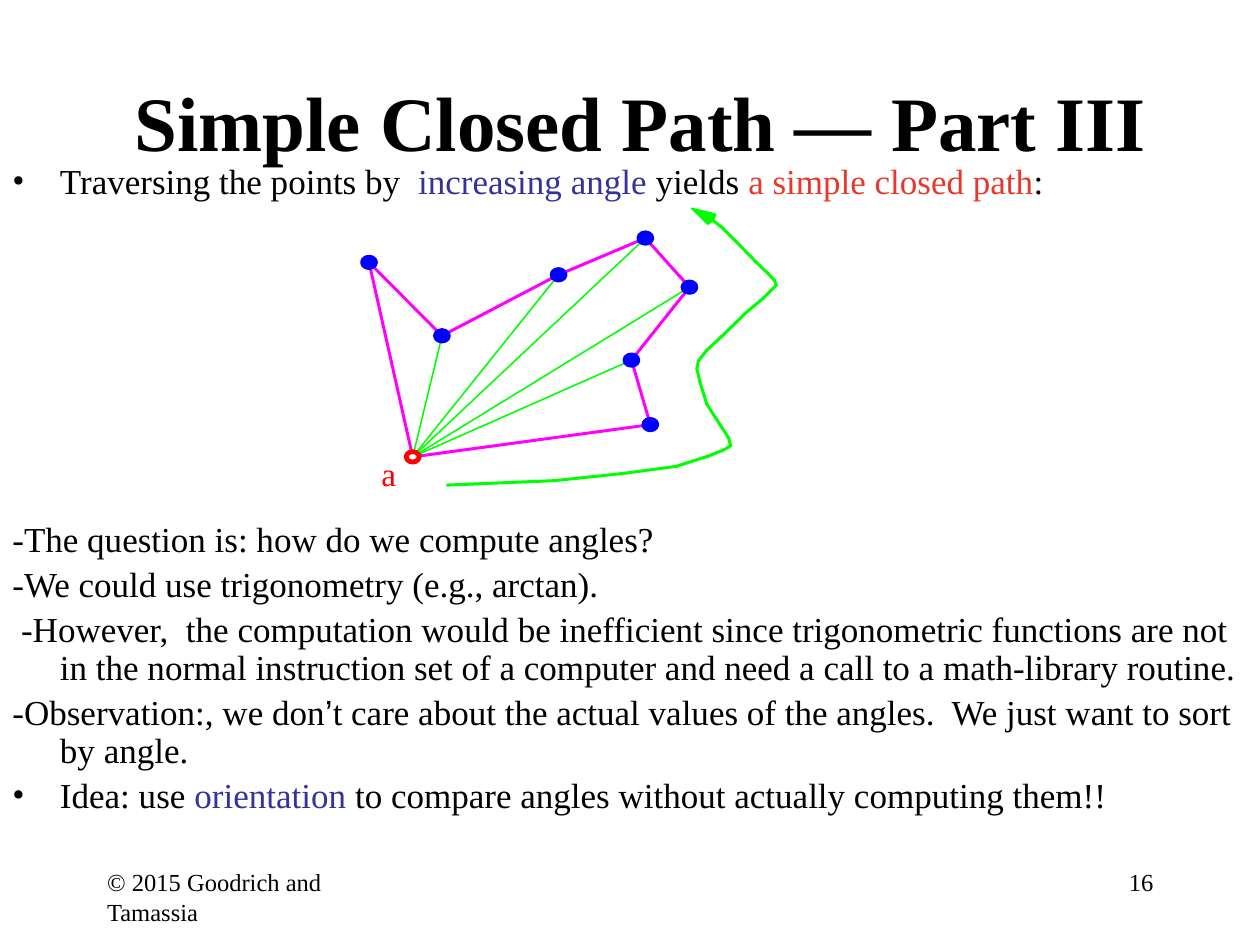
import itertools
import math

import pptx
import pptx.dml.color
import pptx.enum.shapes
import pptx.enum.text
import pptx.oxml.ns
import pptx.util
from lxml import etree
from pptx.util import Cm, Pt

COLORS = {
    "text": "000000", "term": "333399", "claim": "E8382C", "path": "FF00FF",
    "sweep": "00FF00", "point": "0000FF", "anchor": "FF0000", "white": "FFFFFF",
}
FONT = "Times New Roman"
ALIGN = pptx.enum.text.PP_ALIGN
ANCHOR = pptx.enum.text.MSO_ANCHOR

# Diagram coordinates in cm, relative to the diagram box
START = (1.02, 5.01)
POINTS = [(5.81, 4.36), (5.43, 3.06), (6.6, 1.59), (5.71, 0.6),
          (3.96, 1.34), (1.61, 2.57), (0.14, 1.09)]
SWEEP = [(1.72, 5.58), (3.88, 5.49), (5.22, 5.35), (6.34, 5.2), (6.99, 4.99),
         (7.29, 4.87), (7.43, 4.79), (7.39, 4.63), (7.24, 4.4), (6.95, 3.95),
         (6.81, 3.5), (6.75, 3.24), (6.78, 3.08), (6.95, 2.86), (7.24, 2.59),
         (7.72, 2.12), (8.08, 1.82), (8.35, 1.55), (8.31, 1.45), (8.18, 1.31),
         (7.93, 1.07), (7.53, 0.66), (7.27, 0.4), (7.08, 0.25)]
SWEEP_HEAD = [(7.08, 0.25), (6.97, 0.32), (6.64, 0), (7.13, 0.12)]

# Each paragraph: bulleted or not, space before in points, runs
BODY = [
    (True, 4.2, [("Traversing the points by  ",), ("increasing angle", "term"),
                 (" yields ",), ("a simple closed path", "claim"), (":",)]),
    (False, 183, [("-The question is: how do we compute angles?",)]),
    (False, 4.2, [("-We could use trigonometry (e.g., arctan).",)]),
    (False, 4.2, [(" -However,  the computation would be inefficient since "
                   "trigonometric functions are not in the normal instruction set "
                   "of a computer and need a call to a math-library routine.",)]),
    (False, 4.2, [("-Observation:, we don",), ("’", "text", "Arial"),
                  ("t care about the actual values of the angles.  "
                   "We just want to sort by angle.",)]),
    (True, 4.2, [("Idea: use ",), ("orientation", "term"),
                 (" to compare angles without actually computing them!!",)]),
]


def rgb(name):
    return pptx.dml.color.RGBColor.from_string(COLORS[name])


def write_text(paragraph, text, size=20, color="text", font=FONT, bold=False,
               align=ALIGN.LEFT):
    paragraph.alignment = align
    run = paragraph.add_run()
    run.text = text
    run.font.size = Pt(size)
    run.font.name = font
    run.font.bold = bold
    run.font.color.rgb = rgb(color)


def add_text_box(slide, box, wrap=True, inset=None):
    frame = slide.shapes.add_textbox(*map(Cm, box)).text_frame
    frame.word_wrap = wrap
    if inset is not None:
        frame.margin_left = frame.margin_right = Cm(inset)
        frame.margin_top = frame.margin_bottom = Cm(inset)
    return frame


def style_shape(shape, fill, line=None, width=1):
    shape.shadow.inherit = False
    shape.fill.solid()
    shape.fill.fore_color.rgb = rgb(fill)
    if line:
        shape.line.color.rgb = rgb(line)
        shape.line.width = Pt(width)
    else:
        shape.line.fill.background()


def add_outline(slide, points, **style):
    points = [(Cm(x), Cm(y)) for x, y in points]
    builder = slide.shapes.build_freeform(*points[0])
    builder.add_line_segments(points[1:], close=True)
    style_shape(builder.convert_to_shape(), **style)


def add_bands(slide, points, fill, thickness=0.06, overlap=0.02):
    """Draw a filled band along each step between neighbouring points."""
    for (x1, y1), (x2, y2) in itertools.pairwise(points):
        length = math.hypot(x2 - x1, y2 - y1)
        along_x, along_y = (x2 - x1) / length, (y2 - y1) / length
        side_x, side_y = -along_y * thickness / 2, along_x * thickness / 2
        x1, y1 = x1 - along_x * overlap, y1 - along_y * overlap
        x2, y2 = x2 + along_x * overlap, y2 + along_y * overlap
        add_outline(slide, [(x1 + side_x, y1 + side_y), (x2 + side_x, y2 + side_y),
                            (x2 - side_x, y2 - side_y), (x1 - side_x, y1 - side_y)],
                    fill=fill)


def add_ray(slide, start, end):
    ray = slide.shapes.add_connector(
        pptx.enum.shapes.MSO_CONNECTOR.STRAIGHT, *map(Cm, start + end))
    ray.line.color.rgb = rgb("sweep")
    ray.line.width = Pt(0.88)
    etree.SubElement(ray.element.spPr, pptx.oxml.ns.qn("a:effectLst"))


def add_point(slide, center, fill="point", line="point"):
    width, height = 0.26, 0.21
    x, y = center
    point = slide.shapes.add_shape(
        pptx.enum.shapes.MSO_SHAPE.OVAL, Cm(x - width / 2), Cm(y - height / 2),
        Cm(width), Cm(height))
    style_shape(point, fill, line=line, width=2.75)


def add_title(slide, box):
    title = slide.shapes.title
    title.left, title.top, title.width, title.height = map(Cm, box)
    title.text_frame.vertical_anchor = ANCHOR.MIDDLE
    write_text(title.text_frame.paragraphs[0], "Simple Closed Path — Part III",
               size=44, bold=True, align=ALIGN.CENTER)


def add_body(slide, box):
    frame = add_text_box(slide, box)
    for index, (bulleted, space, runs) in enumerate(BODY):
        paragraph = frame.add_paragraph() if index else frame.paragraphs[0]
        paragraph.line_spacing = 0.9
        paragraph.space_before = Pt(space)
        properties = paragraph._p.get_or_add_pPr()
        properties.set("marL", str(Cm(0.96)))
        properties.set("indent", str(-Cm(0.96)))
        if bulleted:
            for tag, key, value in (("a:buFont", "typeface", FONT),
                                    ("a:buChar", "char", "•")):
                etree.SubElement(properties, pptx.oxml.ns.qn(tag)).set(key, value)
        for text, color, font in (run + ("text", FONT)[len(run) - 1:] for run in runs):
            write_text(paragraph, text, color=color, font=font)


def add_diagram(slide, left, top):
    def place(points):
        return [(left + x, top + y) for x, y in points]

    start, *points = place([START] + POINTS)
    # Closed path, and rays to the points not next to the start on it
    add_bands(slide, [start] + points + [start], fill="path")
    for point in points[1:-1]:
        add_ray(slide, start, point)
    for point in points:
        add_point(slide, point)
    add_point(slide, start, fill="white", line="anchor")
    label = add_text_box(slide, (left + 0.39, top + 4.94, 0.3, 0.81), wrap=False, inset=0)
    write_text(label.paragraphs[0], "a", size=19, color="anchor")
    # Curve showing the direction of increasing angle
    add_outline(slide, place(SWEEP_HEAD), fill="sweep", line="sweep", width=0.88)
    add_bands(slide, place(SWEEP), fill="sweep")


def add_footer(slide, left, top, right):
    width, height = 5.29, 1.27
    for x, text, align in ((left, "© 2015 Goodrich and Tamassia", ALIGN.LEFT),
                           (right - width, "16", ALIGN.RIGHT)):
        frame = add_text_box(slide, (x, top, width, height))
        write_text(frame.paragraphs[0], text, size=14, align=align)


def main():
    presentation = pptx.Presentation()
    presentation.slide_width, presentation.slide_height = Cm(25.4), Cm(19.05)
    slide = presentation.slides.add_slide(presentation.slide_layouts[5])
    add_title(slide, (2.12, 0.85, 21.59, 3.18))
    add_body(slide, (0, 3.18, 25.4, 17.15))
    add_diagram(slide, 7.3, 4.2)
    add_footer(slide, 1.91, 17.36, 23.5)
    presentation.save("out.pptx")


if __name__ == "__main__":
    main()
